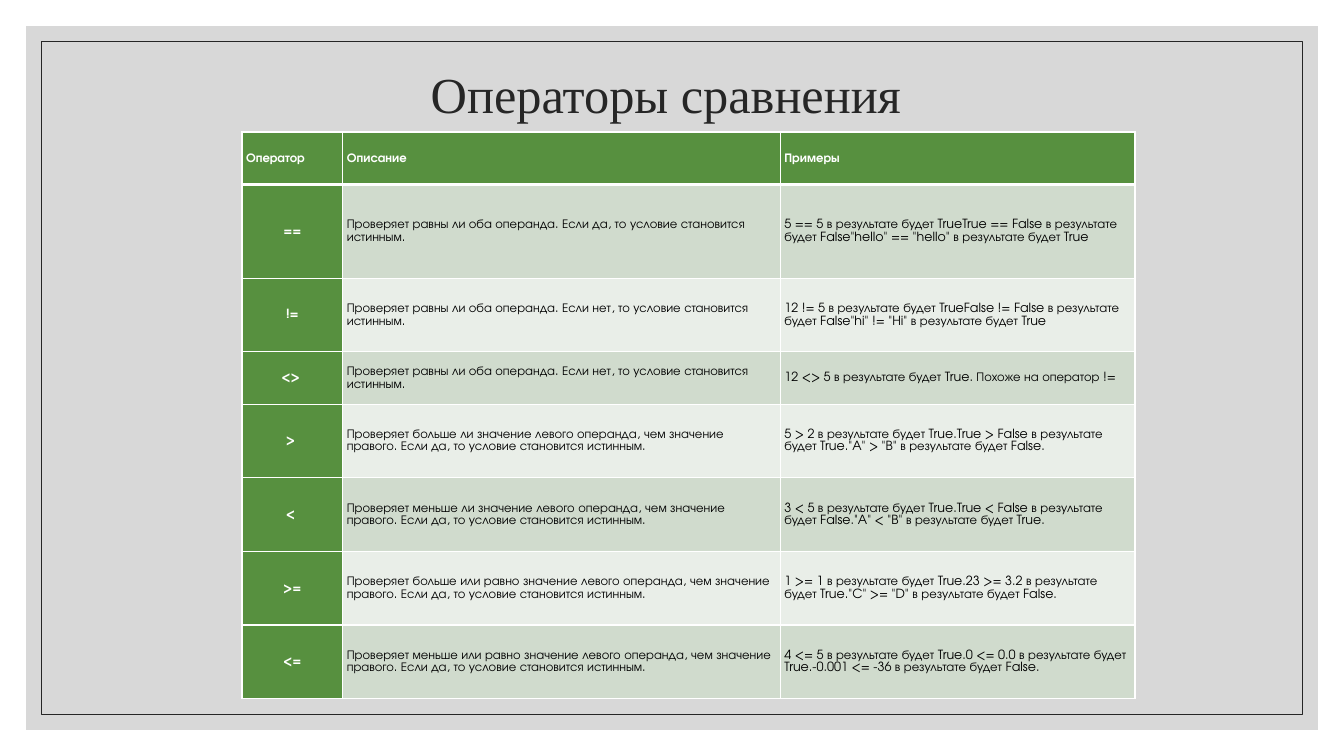
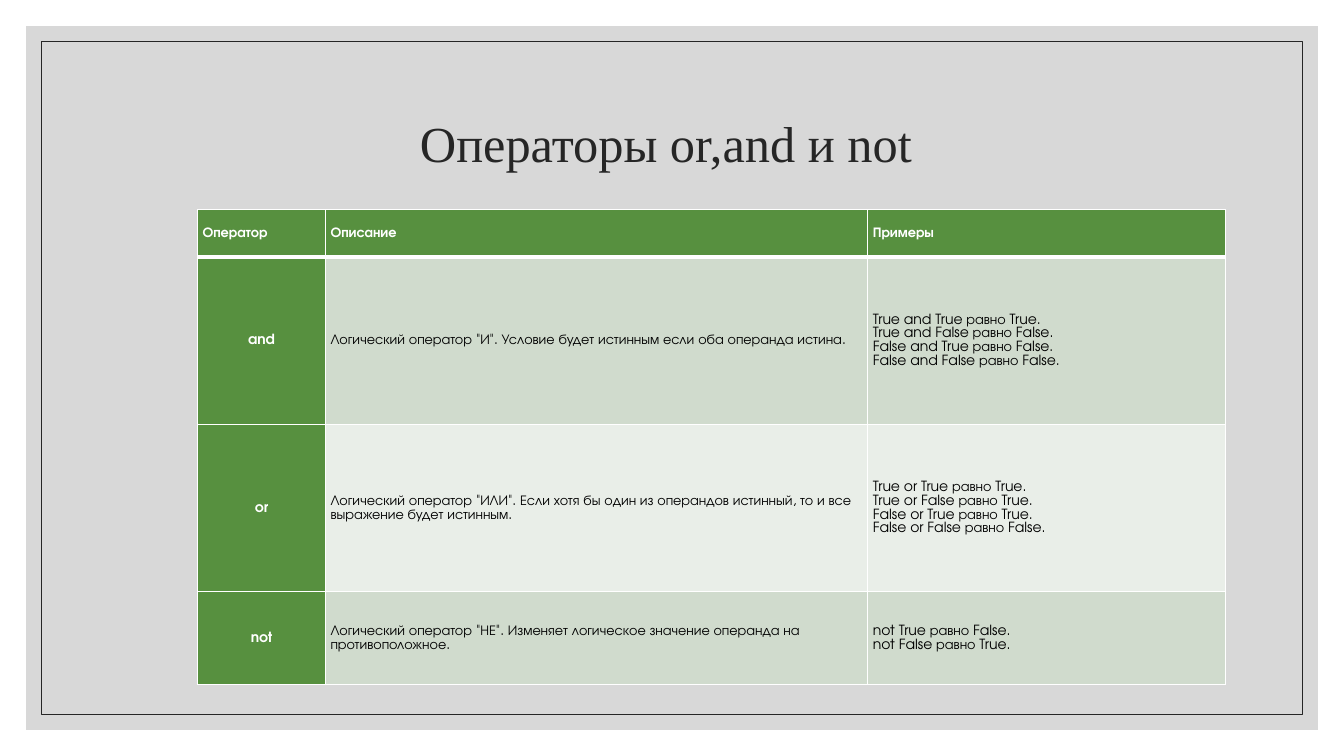
from lxml import etree
from pptx import Presentation
from pptx.dml.color import RGBColor
from pptx.enum import shapes, text
from pptx.oxml.ns import qn
from pptx.util import Pt

WHITE = RGBColor(0xFF, 0xFF, 0xFF)
BLACK = RGBColor(0x00, 0x00, 0x00)
INK = RGBColor(0x26, 0x26, 0x26)
PANEL_GRAY = RGBColor(0xBF, 0xBF, 0xBF)
GREEN = RGBColor(0x57, 0x90, 0x3F)
BANDS = (RGBColor(0xD0, 0xDB, 0xCD), RGBColor(0xE9, 0xEE, 0xE8))

TITLE_FONT = "Times New Roman"
TABLE_FONT = "TeX Gyre Adventor"
SLIDE_WIDTH, SLIDE_HEIGHT = 960, 540
PANEL_INSET, FRAME_INSET = 18.7, 29.5
THIN, THICK = 1, 3

HEADER = ("Оператор", "Описание", "Примеры")
EQUAL_IF = "Проверяет равны ли оба операнда. Если {}, то условие становится истинным."
COMPARE = ("Проверяет {} значение левого операнда, чем значение правого. "
           "Если да, то условие становится истинным.")

SLIDES = [
    {
        "title": "Операторы сравнения ",
        "title_top": 15.1,
        "origin": (172.8, 94.3),
        "columns": (72, 312.5, 253.4),
        "heights": (37.4, 67, 52.6, 37.4, 52.6, 52.6, 52.6, 52.6),
        "size": 9,
        "margin": 3,
        "rows": [
            ("==", EQUAL_IF.format("да"),
             '5 == 5 в результате будет TrueTrue == False в результате будет False'
             '"hello" == "hello" в результате будет True'),
            ("!=", EQUAL_IF.format("нет"),
             '12 != 5 в результате будет TrueFalse != False в результате будет False'
             '"hi" != "Hi" в результате будет True'),
            ("<> ", EQUAL_IF.format("нет"),
             "12 <> 5 в результате будет True. Похоже на оператор !="),
            ("> ", COMPARE.format("больше ли"),
             '5 > 2 в результате будет True.True > False в результате будет True.'
             '"A" > "B" в результате будет False.'),
            ("< ", COMPARE.format("меньше ли"),
             '3 < 5 в результате будет True.True < False в результате будет False.'
             '"A" < "B" в результате будет True.'),
            (">=", COMPARE.format("больше или равно"),
             '1 >= 1 в результате будет True.23 >= 3.2 в результате будет True.'
             '"C" >= "D" в результате будет False.'),
            ("<=", COMPARE.format("меньше или равно"),
             "4 <= 5 в результате будет True.0 <= 0.0 в результате будет True."
             "-0.001 <= -36 в результате будет False."),
        ],
    },
    {
        "title": "Операторы or,and и not ",
        "title_top": 50.4,
        "origin": (141.1, 149.8),
        "columns": (91.4, 387.4, 255.6),
        "heights": (33.8, 119.5, 119.5, 66.5),
        "size": 10,
        "margin": 3.6,
        "rows": [
            ("and", 'Логический оператор "И". Условие будет истинным если оба операнда истина.',
             "True and True равно True.\nTrue and False равно False.\n"
             "False and True равно False.\nFalse and False равно False."),
            ("or", 'Логический оператор "ИЛИ". Если хотя бы один из операндов истинный, '
             "то и все выражение будет истинным.",
             "True or True равно True.\nTrue or False равно True.\n"
             "False or True равно True.\nFalse or False равно False."),
            ("not", 'Логический оператор "НЕ". Изменяет логическое значение операнда '
             "на противоположное.",
             "not True равно False.\nnot False равно True."),
        ],
    },
]


def set_margins(target, margin):
    target.margin_left = target.margin_right = Pt(margin)
    target.margin_top = target.margin_bottom = Pt(margin)


def style_spans(para, font, size, color, bold=False):
    for span in para.runs:
        span.font.name = font
        span.font.size = Pt(size)
        span.font.color.rgb = color
        span.font.bold = bold


def add_inset_box(page, inset):
    box = page.shapes.add_shape(
        shapes.MSO_SHAPE.RECTANGLE, Pt(inset), Pt(inset),
        Pt(SLIDE_WIDTH - 2 * inset), Pt(SLIDE_HEIGHT - 2 * inset))
    box.shadow.inherit = False
    return box


def decorate_layout(layout, page):
    """Draw the panel and frame on a page, then move them to its layout."""
    panel = add_inset_box(page, PANEL_INSET)
    panel.fill.solid()
    panel.fill.fore_color.rgb = PANEL_GRAY
    color = panel.element.spPr.find(".//" + qn("a:srgbClr"))
    etree.SubElement(color, qn("a:alpha"), val="60000")
    panel.line.fill.background()

    frame = add_inset_box(page, FRAME_INSET)
    frame.fill.background()
    frame.line.color.rgb = INK
    frame.line.width = Pt(0.5)

    for position, box in enumerate((panel, frame), start=2):
        layout.shapes.element.insert(position, box.element)


def set_title(page, title, top):
    box = page.shapes.title
    box.left, box.top, box.width, box.height = Pt(84.2), Pt(top), Pt(792), Pt(108)
    frame = box.text_frame
    frame.text = title
    frame.word_wrap = True
    frame.auto_size = text.MSO_AUTO_SIZE.NONE
    frame.vertical_anchor = text.MSO_ANCHOR.MIDDLE
    set_margins(frame, 3.6)
    para = frame.paragraphs[0]
    para.alignment = text.PP_ALIGN.CENTER
    para.line_spacing = 0.9
    style_spans(para, TITLE_FONT, 36, INK)


def set_borders(cell, top, bottom):
    properties = cell._tc.get_or_add_tcPr()
    widths = {"a:lnL": THIN, "a:lnR": THIN, "a:lnT": top, "a:lnB": bottom}
    for position, (side, width) in enumerate(widths.items()):
        line = etree.Element(qn(side), w=str(Pt(width)))
        fill = etree.SubElement(line, qn("a:solidFill"))
        etree.SubElement(fill, qn("a:srgbClr"), val=str(WHITE))
        properties.insert(position, line)


def fill_cell(cell, content, row, column, size, margin):
    is_header = row == 0
    is_label = is_header or column == 0
    cell.fill.solid()
    cell.fill.fore_color.rgb = GREEN if is_label else BANDS[(row - 1) % 2]
    set_borders(cell, top=THICK if row == 1 and column else THIN,
                bottom=THICK if is_header else THIN)
    cell.vertical_anchor = text.MSO_ANCHOR.MIDDLE
    set_margins(cell, margin)

    para = cell.text_frame.paragraphs[0]
    para.text = content
    para.line_spacing = 1.07
    para.space_before = Pt(8)
    if column == 0 and not is_header:
        para.alignment = text.PP_ALIGN.CENTER
    style_spans(para, TABLE_FONT, size, WHITE if is_label else BLACK, is_label)
    for line_break in cell._tc.iter(qn("a:br")):
        etree.SubElement(line_break, qn("a:rPr"), sz=str(size * 100))


def add_operator_table(page, content):
    rows = [HEADER] + content["rows"]
    columns, heights = content["columns"], content["heights"]
    left, top = content["origin"]
    table = page.shapes.add_table(
        len(rows), len(columns), Pt(left), Pt(top),
        Pt(sum(columns)), Pt(sum(heights))).table
    for column, width in zip(table.columns, columns):
        column.width = Pt(width)
    for row, height in zip(table.rows, heights):
        row.height = Pt(height)
    for r, row in enumerate(rows):
        for c, value in enumerate(row):
            fill_cell(table.cell(r, c), value, r, c, content["size"], content["margin"])


def main():
    deck = Presentation()
    deck.slide_width, deck.slide_height = Pt(SLIDE_WIDTH), Pt(SLIDE_HEIGHT)
    layout = deck.slide_layouts.get_by_name("Title Only")
    for index, content in enumerate(SLIDES):
        page = deck.slides.add_slide(layout)
        if index == 0:
            decorate_layout(layout, page)
        set_title(page, content["title"], content["title_top"])
        add_operator_table(page, content)
    deck.save("out.pptx")


if __name__ == "__main__":
    main()
